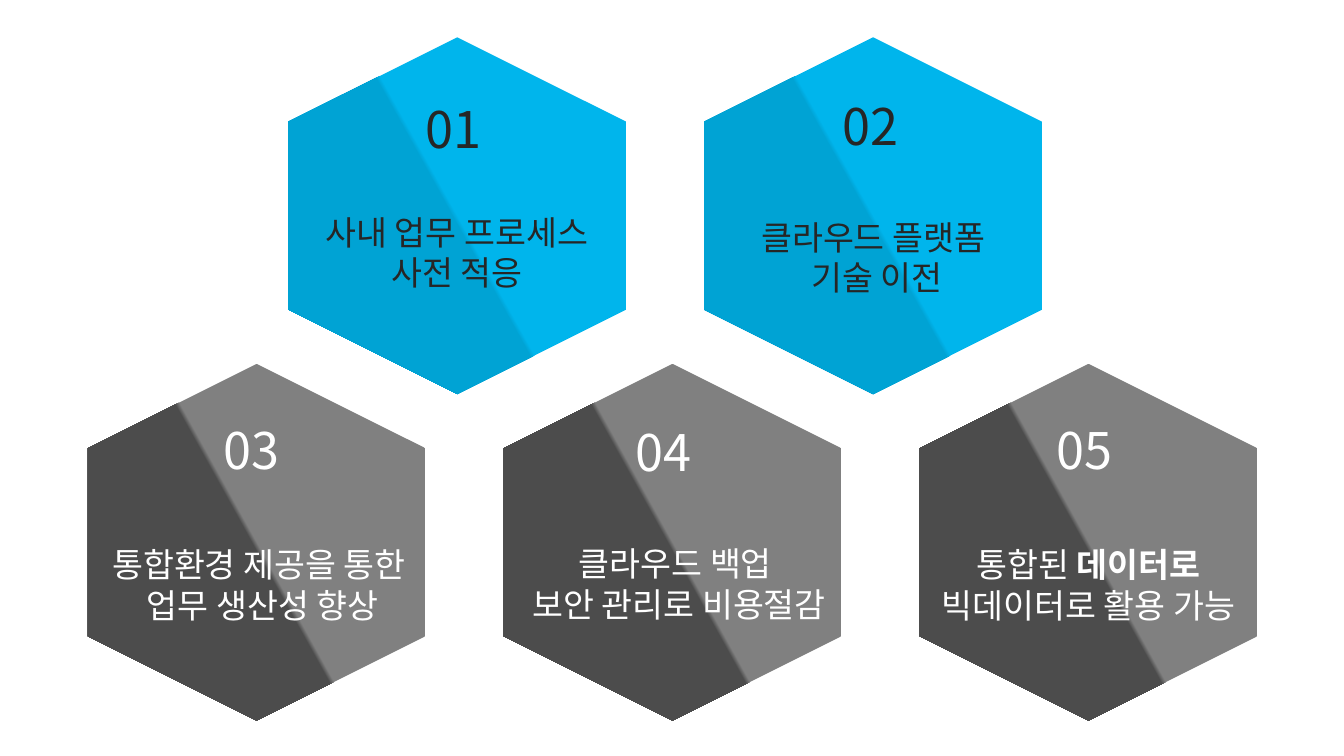
from copy import deepcopy
from typing import NamedTuple

from pptx import Presentation
from pptx.dml.color import RGBColor
from pptx.enum.shapes import MSO_SHAPE
from pptx.enum.text import MSO_AUTO_SIZE, PP_ALIGN
from pptx.oxml.ns import qn
from pptx.util import Inches, Pt

HEXAGON = MSO_SHAPE.HEXAGON
GROW = MSO_AUTO_SIZE.SHAPE_TO_FIT_TEXT
LEFT, CENTER = PP_ALIGN.LEFT, PP_ALIGN.CENTER

FONT = "Noto Sans CJK KR"
BLUE = RGBColor(0x00, 0xB5, 0xEC)
DEEP_BLUE = RGBColor(0x00, 0xA3, 0xD4)
GRAY = RGBColor(0x80, 0x80, 0x80)
DARK_GRAY = RGBColor(0x4C, 0x4C, 0x4C)
INK = RGBColor(0x26, 0x26, 0x26)
WHITE = RGBColor(0xFF, 0xFF, 0xFF)

WIDTH, HEIGHT, PITCH = 3.35, 3.54, 4.125


class Benefit(NamedTuple):
    """Wording of one hexagon and its text offsets within the hexagon."""
    number: str
    number_at: tuple
    caption_at: tuple
    caption_width: float
    lines: list


class Row(NamedTuple):
    """Place, colours and benefits of one row of hexagons."""
    left: float
    top: float
    light: RGBColor
    dark: RGBColor
    ink: RGBColor
    benefits: list


ROWS = [
    Row(2.86, 0.37, BLUE, DEEP_BLUE, INK, [
        Benefit("01", (1.26, 0.55), (0.21, 1.68), 2.92,
                [[("사내 업무 프로세스", False)], [("사전 적응", False)]]),
        Benefit("02", (1.27, 0.52), (0.42, 1.73), 2.51,
                [[("클라우드 플랫폼", False)], [(" 기술 이전", False)]]),
    ]),
    Row(0.87, 3.61, GRAY, DARK_GRAY, WHITE, [
        Benefit("03", (1.25, 0.5), (0.07, 1.74), 3.33,
                [[("통합환경 제공을 통한 ", False)], [("업무 생산성 향상", False)]]),
        Benefit("04", (1.21, 0.52), (0.13, 1.73), 3.22,
                [[("클라우드 백업 ", False)], [("보안 관리로 비용절감", False)]]),
        Benefit("05", (1.26, 0.5), (0.06, 1.74), 3.23,
                [[("통합된 ", False), ("데이터로", True)],
                 [("빅데이터로 활용 가능", False)]]),
    ]),
]


def fill_two_tone(shape, light, dark):
    """Split the shape diagonally into a light and a dark half."""
    shape.fill.gradient()
    shape.fill.gradient_angle = 299
    stops = shape.fill.gradient_stops
    stops[0].color.rgb, stops[1].color.rgb = light, dark
    stop_list = shape.element.spPr.find(".//" + qn("a:gsLst"))
    first, last = stop_list
    first.addnext(deepcopy(first))
    last.addprevious(deepcopy(last))
    for stop, position in zip(shape.fill.gradient_stops, (0, 0.5, 0.51, 1)):
        stop.position = position


def add_hexagon(slide, left, top, light, dark):
    """Draw a hexagon standing on its point inside the given box."""
    shift = (HEIGHT - WIDTH) / 2
    shape = slide.shapes.add_shape(
        HEXAGON, Inches(left - shift), Inches(top + shift),
        Inches(HEIGHT), Inches(WIDTH))
    shape.rotation = 90
    shape.adjustments[0] = 0.25
    shape.shadow.inherit = False
    shape.line.fill.background()
    fill_two_tone(shape, light, dark)


def add_text(slide, left, top, width, height, lines, size, color, alignment):
    """Place unwrapped lines of text in the given box."""
    box = slide.shapes.add_textbox(
        Inches(left), Inches(top), Inches(width), Inches(height))
    frame = box.text_frame
    frame.word_wrap = False
    frame.auto_size = GROW
    for index, line in enumerate(lines):
        para = frame.add_paragraph() if index else frame.paragraphs[0]
        para.alignment = alignment
        for text, bold in line:
            span = para.add_run()
            span.text = text
            span.font.name = FONT
            span.font.size = Pt(size)
            span.font.bold = bold
            span.font.color.rgb = color
            east_asian = span.font._element.makeelement(
                qn("a:ea"), {"typeface": FONT})
            span.font._element.append(east_asian)


def add_benefit(slide, left, top, row, benefit):
    """Draw one hexagon with its number and caption."""
    add_hexagon(slide, left, top, row.light, row.dark)
    across, down = benefit.number_at
    add_text(slide, left + across, top + down, 0.82, 0.71,
             [[(benefit.number, False)]], 36, row.ink, LEFT)
    across, down = benefit.caption_at
    add_text(slide, left + across, top + down, benefit.caption_width, 0.91,
             benefit.lines, 24, row.ink, CENTER)


def add_row(slide, row):
    """Lay out the hexagons of a row at an even pitch."""
    for column, benefit in enumerate(row.benefits):
        add_benefit(slide, row.left + column * PITCH, row.top, row, benefit)


def main():
    """Build and save the deck."""
    deck = Presentation()
    deck.slide_width, deck.slide_height = Inches(13.33), Inches(7.5)
    page = deck.slides.add_slide(deck.slide_layouts[6])
    for row in ROWS:
        add_row(page, row)
    deck.save("out.pptx")


if __name__ == "__main__":
    main()
